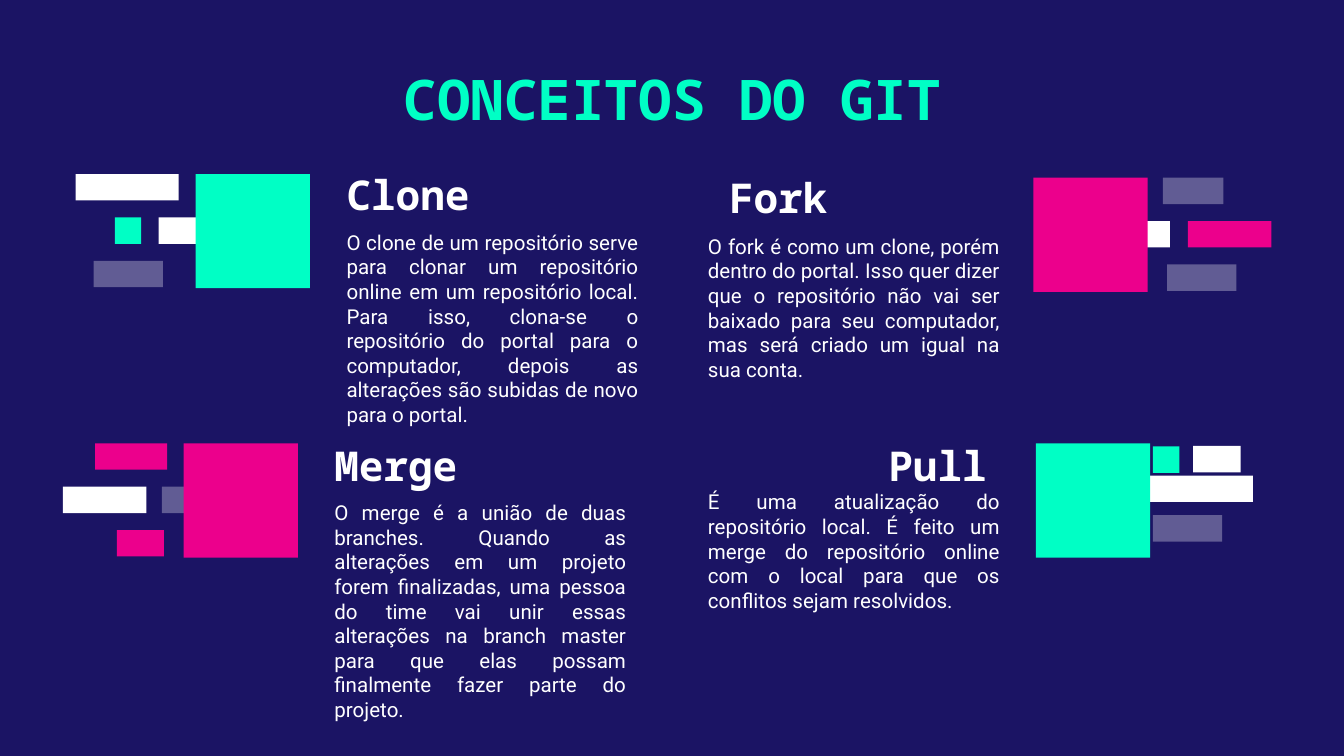
from dataclasses import dataclass

from lxml import etree
from pptx import Presentation
from pptx.dml.color import RGBColor
from pptx.enum.shapes import MSO_SHAPE
from pptx.enum.text import MSO_ANCHOR, PP_ALIGN
from pptx.oxml.ns import qn
from pptx.slide import Slide
from pptx.util import Cm, Pt

RECTANGLE = MSO_SHAPE.RECTANGLE
TOP, BOTTOM = MSO_ANCHOR.TOP, MSO_ANCHOR.BOTTOM
LEFT, CENTER, JUSTIFY = PP_ALIGN.LEFT, PP_ALIGN.CENTER, PP_ALIGN.JUSTIFY

NAVY, TEAL, PINK, WHITE = "1B1464", "00FFC5", "EC008C", "FFFFFF"
MONO, SANS = "Noto Sans Mono", "Roboto"
SQUARE_SIZE, BAR_HEIGHT, ROW_STEP = 2.16, 0.5, 0.82
TEXT_WIDTH, HEADING_HEIGHT, BODY_HEIGHT = 6.02, 0.99, 1.14
INSET = 0.25


@dataclass(frozen=True)
class Style:
    font: str
    size: int
    color: str
    bold: bool
    align: PP_ALIGN
    anchor: MSO_ANCHOR
    top_inset: float = 0
    bottom_inset: float = INSET


@dataclass(frozen=True)
class Bar:
    left: float
    drop: float
    width: float
    color: str
    opacity: int = 100


@dataclass(frozen=True)
class Concept:
    heading: str
    body: str
    heading_at: tuple[float, float]
    body_at: tuple[float, float]
    square_at: tuple[float, float]
    square_color: str
    bars: tuple[Bar, ...]


TITLE = Style(MONO, 30, TEAL, True, CENTER, TOP, top_inset=INSET)
HEADING = Style(MONO, 22, WHITE, True, LEFT, BOTTOM, bottom_inset=0)
BODY = Style(SANS, 11, WHITE, False, JUSTIFY, TOP)

CONCEPTS = (
    Concept(
        "Clone",
        "O clone de um repositório serve para clonar um repositório online em um "
        "repositório local. Para isso, clona-se o repositório do portal para o "
        "computador, depois as alterações são subidas de novo para o portal.",
        (6.3, 3.15), (6.3, 4.34), (3.7, 3.29), TEAL,
        (
            Bar(1.43, 0, 1.95, WHITE),
            Bar(2.17, ROW_STEP, 0.5, TEAL),
            Bar(3, ROW_STEP, 0.9, WHITE),
            Bar(1.77, 2 * ROW_STEP, 1.31, WHITE, 31),
        ),
    ),
    Concept(
        "Merge",
        "O merge é a união de duas branches. Quando as alterações em um projeto "
        "forem finalizadas, uma pessoa do time vai unir essas alterações na branch "
        "master para que elas possam finalmente fazer parte do projeto.",
        (6.07, 8.26), (6.07, 9.45), (3.47, 8.38), PINK,
        (
            Bar(1.8, 0, 1.36, PINK),
            Bar(1.19, ROW_STEP, 1.58, WHITE),
            Bar(3.06, ROW_STEP, 0.61, WHITE, 31),
            Bar(2.21, 2 * ROW_STEP, 0.89, PINK),
        ),
    ),
    Concept(
        "Fork",
        "O fork é como um clone, porém dentro do portal. Isso quer dizer que o "
        "repositório não vai ser baixado para seu computador, mas será criado um "
        "igual na sua conta.",
        (13.53, 3.2), (13.13, 4.42), (19.53, 3.36), PINK,
        (
            Bar(21.98, 0, 1.14, WHITE, 31),
            Bar(21.51, ROW_STEP, 0.6, WHITE),
            Bar(22.45, ROW_STEP, 1.58, PINK),
            Bar(22.06, 2 * ROW_STEP, 1.31, WHITE, 31),
        ),
    ),
    Concept(
        "Pull",
        "É uma atualização do repositório local. É feito um merge do repositório "
        "online com o local para que os conflitos sejam resolvidos.",
        (16.54, 8.26), (13.13, 9.25), (19.58, 8.38), TEAL,
        (
            Bar(21.79, 0.06, 0.5, TEAL),
            Bar(22.55, 0.05, 0.9, WHITE),
            Bar(21.73, 0.61, 1.95, WHITE),
            Bar(21.79, 1.36, 1.31, WHITE, 31),
        ),
    ),
)


def rgb(color: str) -> RGBColor:
    return RGBColor.from_string(color)


def add_block(page: Slide, left: float, top: float, width: float, height: float,
              color: str, opacity: int = 100) -> None:
    block = page.shapes.add_shape(RECTANGLE, Cm(left), Cm(top), Cm(width), Cm(height))
    block.shadow.inherit = False
    block.line.fill.background()
    block.fill.solid()
    block.fill.fore_color.rgb = rgb(color)
    if opacity < 100:
        tint = block._element.spPr.find(qn("a:solidFill"))[0]
        etree.SubElement(tint, qn("a:alpha"), val=str(opacity * 1000))


def add_text(page: Slide, text: str, left: float, top: float, width: float,
             height: float, style: Style) -> None:
    box = page.shapes.add_textbox(Cm(left), Cm(top), Cm(width), Cm(height))
    frame = box.text_frame
    frame.word_wrap = True
    frame.vertical_anchor = style.anchor
    frame.margin_left = frame.margin_right = Cm(INSET)
    frame.margin_top = Cm(style.top_inset)
    frame.margin_bottom = Cm(style.bottom_inset)
    frame.text = text
    para = frame.paragraphs[0]
    para.alignment = style.align
    font = para.runs[0].font
    font.name = style.font
    font.size = Pt(style.size)
    font.bold = style.bold
    font.color.rgb = rgb(style.color)


def add_concept(page: Slide, concept: Concept) -> None:
    square_left, square_top = concept.square_at
    for bar in concept.bars:
        add_block(page, bar.left, square_top + bar.drop, bar.width, BAR_HEIGHT,
                  bar.color, bar.opacity)
    add_block(page, square_left, square_top, SQUARE_SIZE, SQUARE_SIZE,
              concept.square_color)
    add_text(page, concept.heading, *concept.heading_at, TEXT_WIDTH, HEADING_HEIGHT,
             HEADING)
    add_text(page, concept.body, *concept.body_at, TEXT_WIDTH, BODY_HEIGHT, BODY)


def main() -> None:
    deck = Presentation()
    deck.slide_width, deck.slide_height = Cm(25.4), Cm(14.29)
    page = deck.slides.add_slide(deck.slide_layouts[6])
    page.background.fill.solid()
    page.background.fill.fore_color.rgb = rgb(NAVY)
    add_text(page, "CONCEITOS DO GIT", 3.56, 0.97, 18.29, 1.85, TITLE)
    for concept in CONCEPTS:
        add_concept(page, concept)
    deck.save("out.pptx")


if __name__ == "__main__":
    main()
